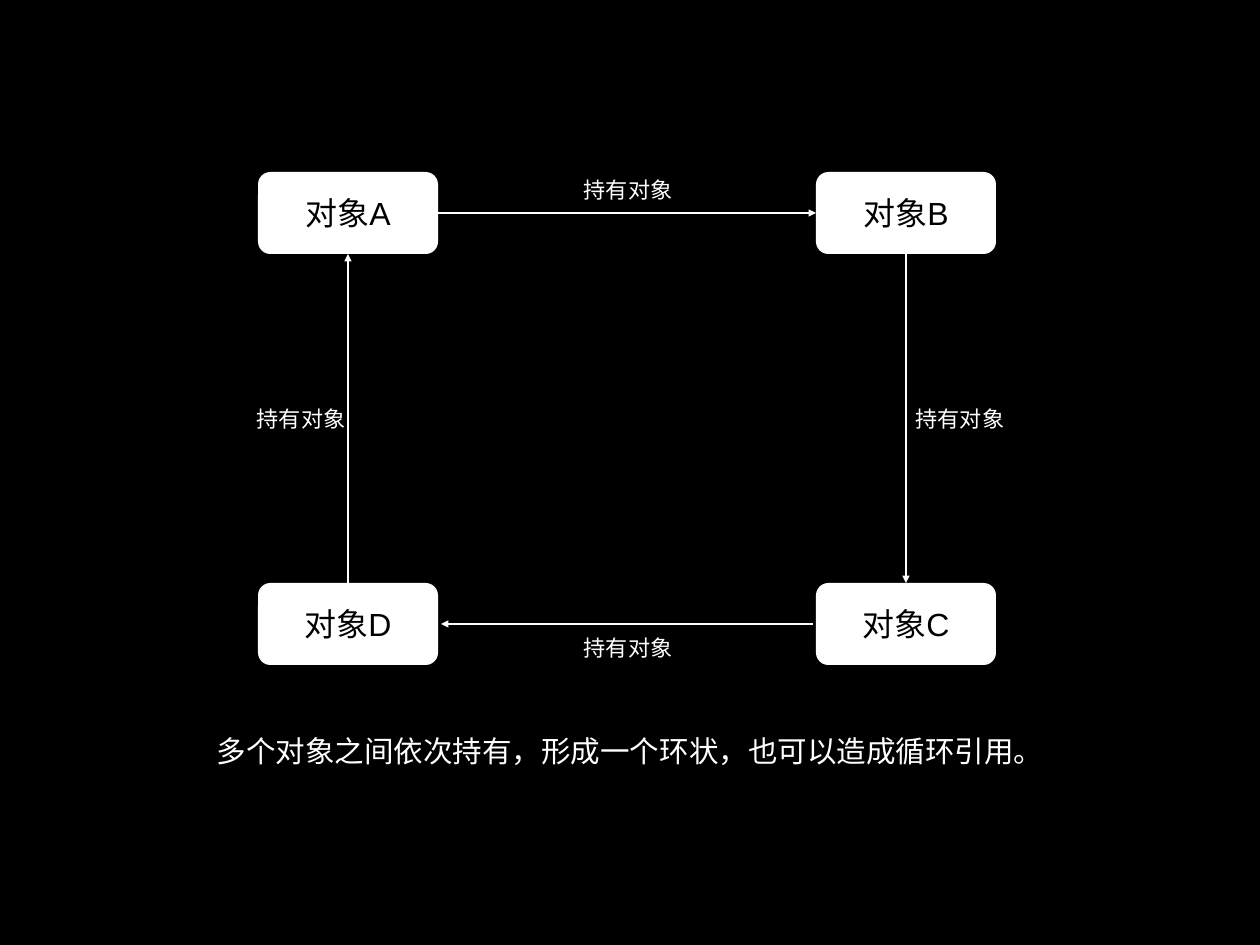
from lxml.etree import SubElement
from pptx import Presentation
from pptx.dml.color import RGBColor
from pptx.enum.shapes import MSO_CONNECTOR as Connector, MSO_SHAPE as Shape
from pptx.enum.text import MSO_ANCHOR as Anchor, MSO_AUTO_SIZE as AutoSize, PP_ALIGN as Align
from pptx.oxml.ns import qn
from pptx.util import Pt

SCALE = 10321
SLIDE = (1260, 945)
BLACK, WHITE = "000000", "FFFFFF"
TOP, LEFT, BOTTOM, RIGHT = range(4)

BOX_SIZE = (180, 82)
BOXES = {
    "A": ("对象A", 258, 172),
    "B": ("对象B", 816, 172),
    "C": ("对象C", 816, 583),
    "D": ("对象D", 258, 583),
}
ARROWS = [
    ("A", RIGHT, "B", LEFT, 0),
    ("B", BOTTOM, "C", TOP, 0),
    ("C", LEFT, "D", RIGHT, 3),
    ("D", TOP, "A", BOTTOM, 0),
]
LABEL = "持有对象"
LABEL_SIZE = (100, 41)
LABEL_PLACES = [(578, 169), (910, 398), (578, 627), (251, 398)]
CAPTION = ("多个对象之间依次持有，形成一个环状，也可以造成循环引用。", 211, 726, 838, 50)
SIDES = {TOP: (0.5, 0), LEFT: (0, 0.5), BOTTOM: (0.5, 1), RIGHT: (1, 0.5)}


def px(*lengths):
    return [round(length * SCALE) for length in lengths]


def color(value):
    return RGBColor.from_string(value)


def write(shape, text, size, ink, **extra):
    frame = shape.text_frame
    inset = px(5)[0]
    settings = {
        "margin_left": inset, "margin_right": inset,
        "margin_top": inset, "margin_bottom": inset,
        "vertical_anchor": Anchor.MIDDLE, "word_wrap": True, **extra,
    }
    for name, value in settings.items():
        setattr(frame, name, value)
    para = frame.paragraphs[0]
    para.alignment = Align.CENTER
    span = para.add_run()
    span.text = text
    for name, value in {"name": "Arial", "size": Pt(size)}.items():
        setattr(span.font, name, value)
    span.font.color.rgb = color(ink)


def add_box(page, text, x, y):
    box = page.shapes.add_shape(Shape.ROUNDED_RECTANGLE, *px(x, y, *BOX_SIZE))
    box.adjustments[0] = 0.15
    box.shadow.inherit = False
    box.fill.solid()
    box.fill.fore_color.rgb = color(WHITE)
    box.line.fill.background()
    write(box, text, 26, BLACK)
    return box


def add_label(page, text, x, y, width, height, size):
    label = page.shapes.add_textbox(*px(x, y, width, height))
    write(label, text, size, WHITE, word_wrap=False, auto_size=AutoSize.SHAPE_TO_FIT_TEXT)


def side_point(key, side, gap):
    _, x, y = BOXES[key]
    width, height = BOX_SIZE
    across, down = SIDES[side]
    return (x + width * across + gap * (2 * across - 1),
            y + height * down + gap * (2 * down - 1))


def add_arrow(page, boxes, start, start_side, end, end_side, gap):
    arrow = page.shapes.add_connector(
        Connector.STRAIGHT,
        *px(*side_point(start, start_side, gap), *side_point(end, end_side, gap)))
    if not gap:
        arrow.begin_connect(boxes[start], start_side)
        arrow.end_connect(boxes[end], end_side)
    arrow.line.width = Pt(2)
    arrow.line.color.rgb = color(WHITE)
    SubElement(arrow.line._get_or_add_ln(), qn("a:tailEnd"), type="triangle")
    SubElement(arrow._element.spPr, qn("a:effectLst"))


def main():
    deck = Presentation()
    deck.slide_width, deck.slide_height = px(*SLIDE)
    page = deck.slides.add_slide(deck.slide_layouts[6])
    page.background.fill.solid()
    page.background.fill.fore_color.rgb = color(BLACK)
    boxes = {key: add_box(page, *content) for key, content in BOXES.items()}
    for arrow in ARROWS:
        add_arrow(page, boxes, *arrow)
    for place in LABEL_PLACES:
        add_label(page, LABEL, *place, *LABEL_SIZE, 18)
    add_label(page, *CAPTION, 24)
    deck.save("out.pptx")


if __name__ == "__main__":
    main()
